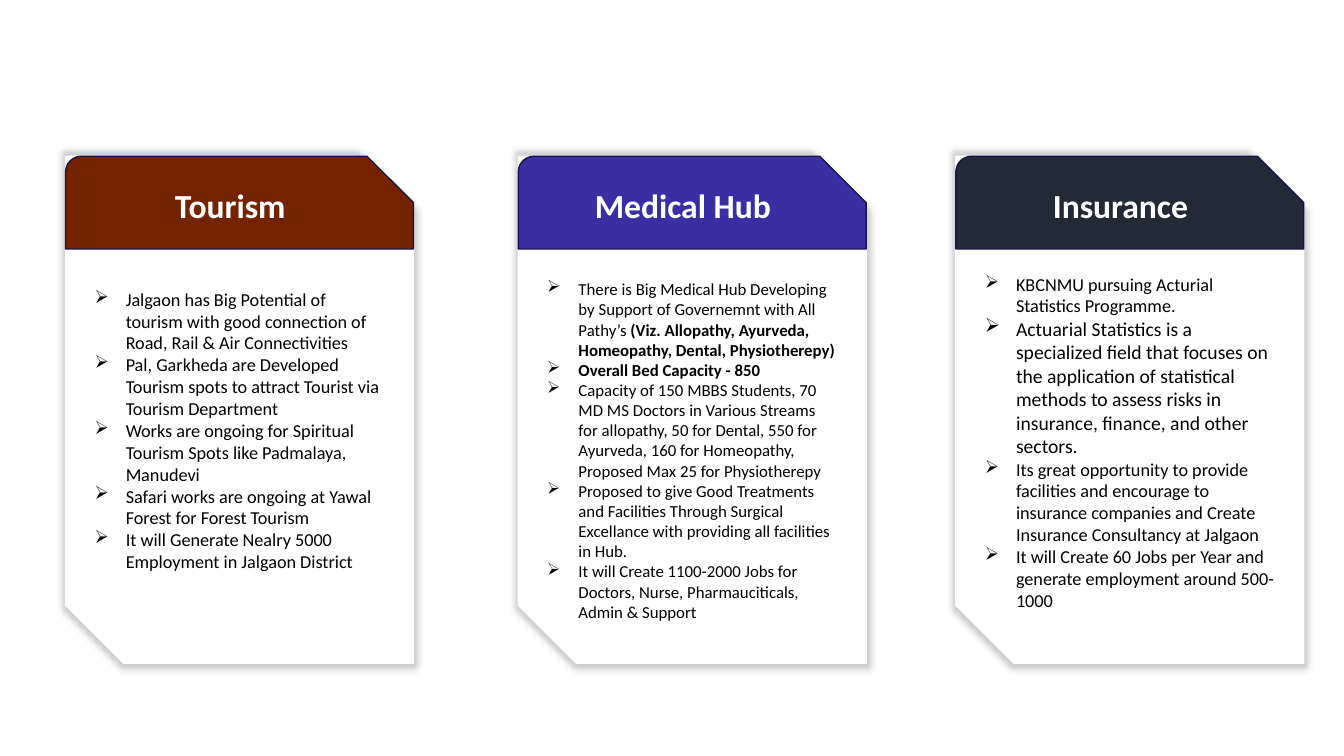
from lxml.etree import SubElement
from pptx import Presentation
from pptx.dml.color import RGBColor
from pptx.enum.shapes import MSO_SHAPE as SHAPE
from pptx.enum.text import MSO_ANCHOR as ANCHOR, PP_ALIGN as ALIGN
from pptx.oxml.ns import qn
from pptx.util import Pt

PX = 9144
CARD_W, CARD_H, HEAD_H, TOP = 345, 503, 92, 155
INDENT = 31

CARDS = [
    (65, "Tourism", "742300", 102, 13, [
        [("Jalgaon has Big Potential of tourism with good connection of Road, Rail & Air Connectivities", {})],
        [("Pal, Garkheda are Developed Tourism spots to attract Tourist via Tourism Department", {})],
        [("Works are ongoing for Spiritual Tourism Spots like Padmalaya, Manudevi", {})],
        [("Safari works are ongoing at Yawal Forest for Forest Tourism", {})],
        [("It will Generate Nealry 5000 Employment in Jalgaon District", {})],
    ]),
    (514, "Medical Hub", "3A2EA3", 93, 12, [
        [("There is Big Medical Hub Developing by Support of Governemnt with All Pathy’s ", {}),
         ("(Viz. Allopathy, Ayurveda, Homeopathy, Dental, Physiotherepy)", {"bold": True})],
        [("Overall Bed Capacity - 850", {"bold": True})],
        [("Capacity of 150 MBBS Students, 70 MD MS Doctors in Various Streams for allopathy, "
          "50 for Dental, 550 for Ayurveda, 160 for Homeopathy, Proposed Max 25 for Physiotherepy", {})],
        [("Proposed to give Good Treatments and Facilities Through Surgical Excellance "
          "with providing all facilities in Hub.", {})],
        [("It will Create 1100-2000 Jobs for Doctors, Nurse, Pharmauciticals, Admin & Support", {})],
    ]),
    (948, "Insurance", "222A35", 87, 13, [
        [("KBCNMU pursuing Acturial Statistics Programme.", {})],
        [("Actuarial Statistics is a specialized field that focuses on the application of statistical "
          "methods to assess risks in insurance, finance, and other sectors.", {"size": 14})],
        [("Its great opportunity to provide facilities and encourage to insurance companies "
          "and Create Insurance Consultancy at Jalgaon", {})],
        [("It will Create 60 Jobs per Year and generate employment around 500-1000", {})],
    ]),
]


def rgb(value):
    return RGBColor.from_string(value)


def add_text(p, text, size=13, color="000000", bold=False, font="Calibri"):
    r = p.add_run()
    r.text = text
    r.font.size, r.font.bold, r.font.name = Pt(size), bold, font
    r.font.color.rgb = rgb(color)


class Deck:
    """Draws styled cards on the current slide."""

    def __init__(self, prs):
        self.slide = prs.slides.add_slide(prs.slide_layouts[6])

    def shape(self, kind, x, y, w, h, fill, line):
        sp = self.slide.shapes.add_shape(kind, *(v * PX for v in (x, y, w, h)))
        sp.shadow.inherit = False
        sp.fill.solid()
        sp.fill.fore_color.rgb = rgb(fill)
        sp.line.color.rgb = rgb(line)
        sp.line.width = Pt(1)
        sp.text_frame.word_wrap = True
        return sp

    def glow(self, sp):
        effects = sp._element.spPr.find(qn("a:effectLst"))
        shadow = SubElement(effects, qn("a:outerShdw"), blurRad=str(Pt(5)),
                            sx="102000", sy="102000", algn="ctr", rotWithShape="0")
        color = SubElement(shadow, qn("a:srgbClr"), val="000000")
        SubElement(color, qn("a:alpha"), val="20000")

    def bullet(self, p):
        pPr = p._p.get_or_add_pPr()
        pPr.set("marL", str(INDENT * PX))
        pPr.set("indent", str(-INDENT * PX))
        SubElement(pPr, qn("a:buChar"), char="➢")
        p.alignment = ALIGN.LEFT

    def body(self, x, inset, size, items):
        sp = self.shape(SHAPE.SNIP_2_DIAG_RECTANGLE, x, TOP, CARD_W, CARD_H, "FFFFFF", "FFFFFF")
        self.glow(sp)
        tf = sp.text_frame
        tf.vertical_anchor = ANCHOR.TOP
        tf.margin_left = tf.margin_right = 0
        tf.margin_top = inset * PX
        for i, runs in enumerate(items):
            p = tf.add_paragraph() if i else tf.paragraphs[0]
            self.bullet(p)
            for text, style in runs:
                add_text(p, text, **{"size": size, **style})

    def header(self, x, title, fill):
        sp = self.shape(SHAPE.SNIP_ROUND_RECTANGLE, x, TOP, CARD_W, HEAD_H, fill, "191447")
        sp.adjustments[0], sp.adjustments[1] = 0.17, 0.5
        tf = sp.text_frame
        tf.vertical_anchor = ANCHOR.MIDDLE
        p = tf.paragraphs[0]
        p.alignment = ALIGN.CENTER
        add_text(p, title, size=24, color="FFFFFF", bold=True)


def main():
    prs = Presentation()
    prs.slide_width, prs.slide_height = 1333 * PX, 750 * PX
    deck = Deck(prs)
    for x, title, fill, inset, size, items in CARDS:
        deck.body(x, inset, size, items)
        deck.header(x, title, fill)
    prs.save("out.pptx")


if __name__ == "__main__":
    main()
